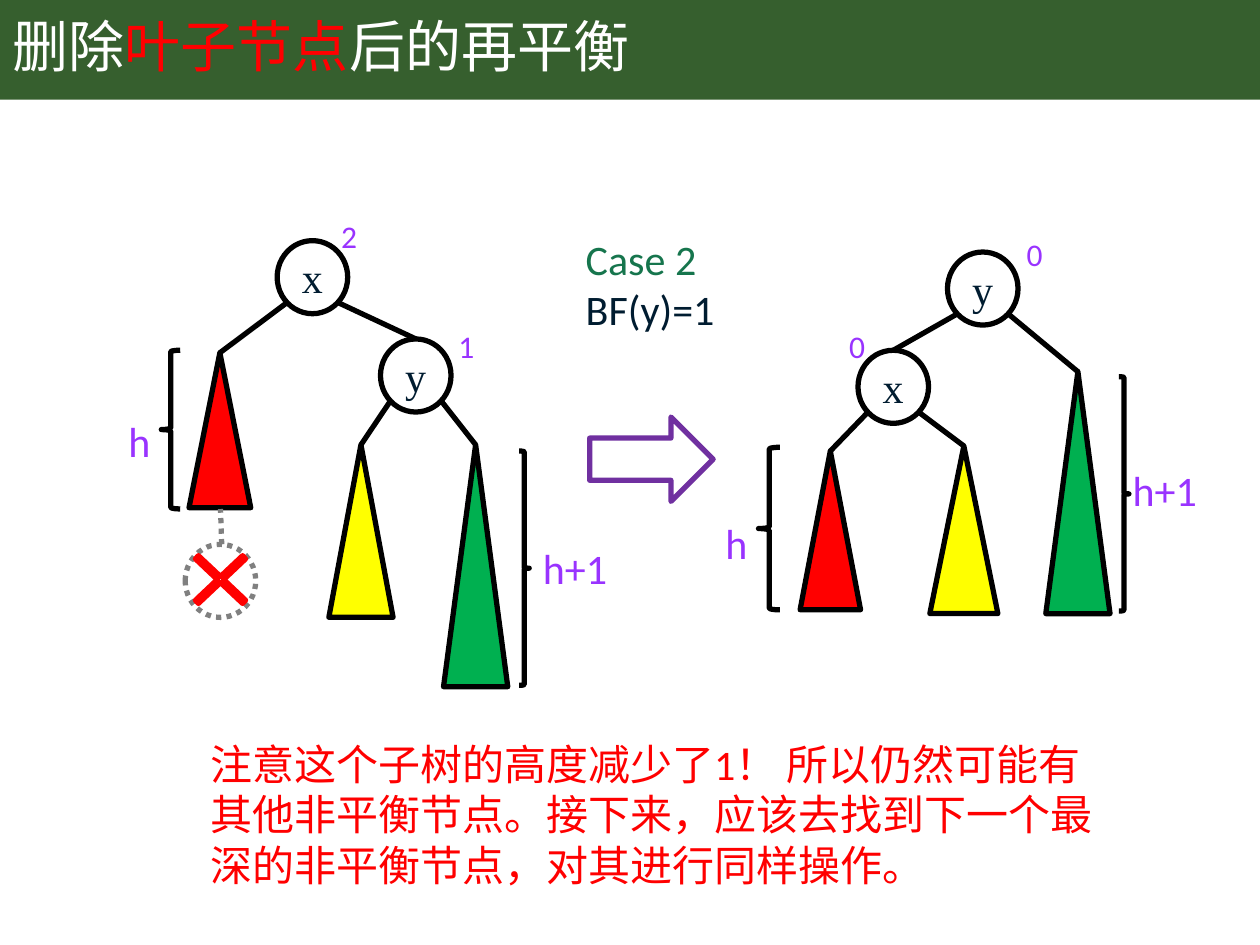
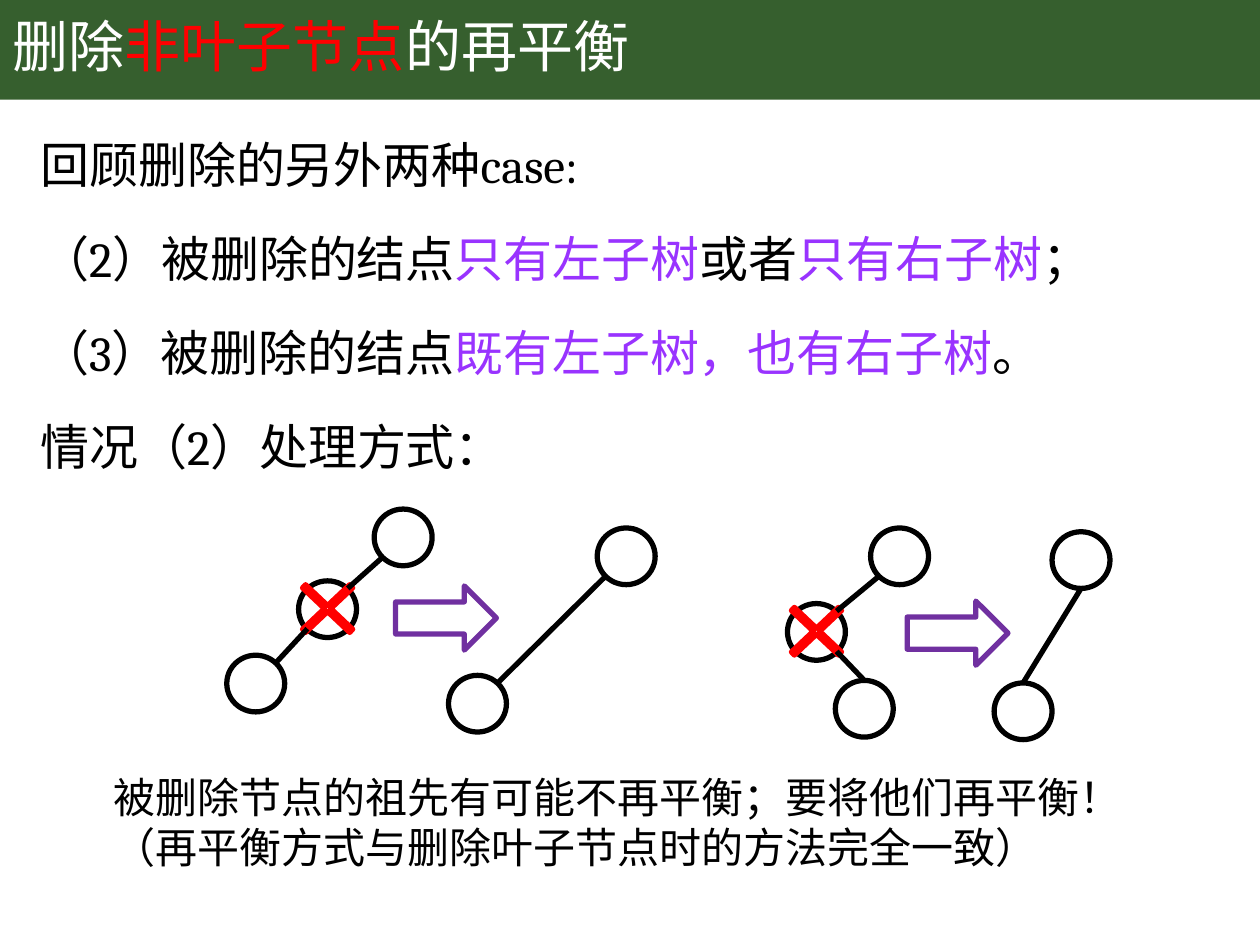
from lxml.etree import SubElement
from pptx import Presentation
from pptx.dml.color import RGBColor
from pptx.enum.dml import MSO_LINE_DASH_STYLE as Dash
from pptx.enum.shapes import MSO_CONNECTOR_TYPE as Connector, MSO_SHAPE as Preset
from pptx.enum.text import MSO_ANCHOR as Anchor, MSO_AUTO_SIZE as AutoSize, PP_ALIGN as Align
from pptx.oxml.ns import qn
from pptx.util import Emu, Pt

BAND, WHITE, BLACK, RED = "365F2E", "FFFFFF", "000000", "FF0000"
VIOLET, ARROW, GRAY, INK, TEAL = "9933FF", "7030A0", "808080", "001C30", "16754D"
YELLOW, GREEN = "FFFF00", "00B050"
NODE_WIDTH, NODE_HEIGHT = 56, 58
NODE_PORTS = {"left": (8, 49), "right": (48, 49), "top": (28, 0)}
CIRCLE_WIDTH, CIRCLE_HEIGHT = 46, 45
CIRCLE_PORTS = {"sw": (7, 38), "ne": (39, 6), "se": (39, 38), "n": (23, 0), "s": (23, 45)}


def px(length):
    """Turn hundredths of an inch into EMU."""
    return Emu(int(length * 9144))


def color(value):
    """Turn a hex string into a colour."""
    return RGBColor.from_string(value)


def style_paragraph(paragraph, size, name, value=None):
    """Set the font that all runs of a paragraph share."""
    paragraph.font.size = Pt(size)
    paragraph.font.name = name
    if value:
        paragraph.font.color.rgb = color(value)


def add_runs(paragraph, runs):
    """Add (text, colour) runs to a paragraph."""
    for text, value in runs:
        run = paragraph.add_run()
        run.text = text
        run.font.color.rgb = color(value)


def place(shape, left, top, width, height):
    """Move and size a shape."""
    shape.left, shape.top, shape.width, shape.height = map(px, (left, top, width, height))


class Region:
    """A drawing area whose parts are placed relative to its corner."""

    def __init__(self, shapes, left=0, top=0):
        """Keep the shape collection and the corner."""
        self.shapes, self.left, self.top = shapes, left, top

    def shape(self, preset, left, top, width, height, line=BLACK, fill=None):
        """Draw an outlined preset shape."""
        shape = self.shapes.add_shape(
            preset, px(self.left + left), px(self.top + top), px(width), px(height))
        shape.shadow.inherit = False
        if fill:
            shape.fill.solid()
            shape.fill.fore_color.rgb = color(fill)
        else:
            shape.fill.background()
        if line:
            shape.line.color.rgb = color(line)
            shape.line.width = Pt(3)
        else:
            shape.line.fill.background()
        return shape

    def line(self, start, end, value=BLACK):
        """Draw a straight line between two points."""
        (x1, y1), (x2, y2) = start, end
        connector = self.shapes.add_connector(
            Connector.STRAIGHT, px(self.left + x1), px(self.top + y1),
            px(self.left + x2), px(self.top + y2))
        connector.line.color.rgb = color(value)
        connector.line.width = Pt(3)
        SubElement(connector.element.spPr, qn("a:effectLst"))
        return connector

    def text(self, lines, left, top, width, height, size=24, wrap=True):
        """Write (text, colour) lines in a text box."""
        box = self.shapes.add_textbox(
            px(self.left + left), px(self.top + top), px(width), px(height))
        frame = box.text_frame
        frame.word_wrap = wrap
        frame.auto_size = AutoSize.SHAPE_TO_FIT_TEXT
        for index, (text, value) in enumerate(lines):
            paragraph = frame.add_paragraph() if index else frame.paragraphs[0]
            paragraph.text = text
            style_paragraph(paragraph, size, "Calibri", value)

    def cross(self, left, top):
        """Draw the red deletion cross."""
        cross = self.shape(Preset.MATH_MULTIPLY, left, top, 72, 68, RED, WHITE)
        cross.adjustments[0] = 0.051

    def node(self, name, left, top):
        """Draw a named tree node."""
        shape = self.shape(Preset.OVAL, left, top, NODE_WIDTH, NODE_HEIGHT)
        frame = shape.text_frame
        frame.margin_left = frame.margin_right = frame.margin_top = frame.margin_bottom = 0
        frame.vertical_anchor = Anchor.MIDDLE
        paragraph = frame.paragraphs[0]
        paragraph.text = name
        paragraph.alignment = Align.CENTER
        style_paragraph(paragraph, 24, "Times New Roman", INK)


def port(corner, offset):
    """Find a connection point of a shape from its corner."""
    return corner[0] + offset[0], corner[1] + offset[1]


def draw_tree(slide, left, top, nodes, link, subtrees, braces):
    """Draw an AVL tree with balance factors, subtrees and height braces."""
    region = Region(slide.shapes.add_group_shape().shapes, left, top)
    for name, (corner, balance, label) in nodes.items():
        region.node(name, *corner)
        region.text([(balance, VIOLET)], *label, 44, 40, 18)
    parent, side, child = link
    region.line(port(nodes[parent][0], NODE_PORTS[side]),
                port(nodes[child][0], NODE_PORTS["top"]))
    for parent, side, fill, (x, y, width, height) in subtrees:
        region.shape(Preset.ISOSCELES_TRIANGLE, x, y, width, height, fill=fill)
        region.line(port(nodes[parent][0], NODE_PORTS[side]), (x + width / 2, y))
    for preset, box, text, label in braces:
        region.shape(preset, *box)
        region.text([(text, VIOLET)], *label, 82 if "+" in text else 44, 50)
    return region


def draw_deleted_leaf(region, left, top):
    """Draw the dotted leaf that was deleted."""
    leaf = region.shape(Preset.OVAL, left, top, NODE_WIDTH, NODE_HEIGHT, GRAY)
    stem = region.line((left + 29, top), (left + 28, top - 28), GRAY)
    for part in (leaf, stem):
        part.line.dash_style = Dash.ROUND_DOT
    region.cross(left - 8, top - 6)


def draw_removal(slide, left, top, circles, edges, arrow):
    """Draw a chain before and after its second node is removed."""
    region = Region(slide.shapes.add_group_shape().shapes, left, top)
    for corner in circles:
        region.shape(Preset.OVAL, *corner, CIRCLE_WIDTH, CIRCLE_HEIGHT)
    x, y = circles[1]
    region.cross(x - 13, y - 12)
    for first, first_port, second, second_port in edges:
        region.line(port(circles[first], CIRCLE_PORTS[first_port]),
                    port(circles[second], CIRCLE_PORTS[second_port]))
    region.shape(Preset.RIGHT_ARROW, *arrow, 80, 51, ARROW)


def add_slide(presentation, layout, before, topic, after):
    """Add a slide whose title stresses its topic."""
    slide = presentation.slides.add_slide(presentation.slide_layouts[layout])
    title = slide.shapes.title
    place(title, 0, 0, 862, 79)
    frame = title.text_frame
    frame.auto_size = AutoSize.NONE
    frame.vertical_anchor = Anchor.MIDDLE
    paragraph = frame.paragraphs[0]
    paragraph.alignment = Align.LEFT
    paragraph.line_spacing = 0.9
    style_paragraph(paragraph, 32, "Calibri")
    add_runs(paragraph, [(before, WHITE), (topic, RED), (after, WHITE)])
    return slide


def add_master_band(presentation, slide):
    """Put the green title band on the slide master."""
    band = Region(slide.shapes).shape(Preset.RECTANGLE, 0, 0, 1000, 79, None, BAND)
    presentation.slide_master.shapes.element.insert(2, band.element)


def fill_body(body, lines):
    """Write the list without bullets in the body placeholder."""
    place(body, 22, 88, 957, 647)
    frame = body.text_frame
    frame.auto_size = AutoSize.NONE
    for index, runs in enumerate(lines):
        paragraph = frame.add_paragraph() if index else frame.paragraphs[0]
        properties = paragraph._p.get_or_add_pPr()
        properties.set("marL", "0")
        properties.set("indent", "0")
        SubElement(properties, qn("a:buNone"))
        paragraph.line_spacing = 1.3
        paragraph.space_before = Pt(10 if index else 0)
        style_paragraph(paragraph, 28, "Cambria")
        add_runs(paragraph, runs)


def build_leaf_slide(presentation):
    """Build the slide on rebalancing after deleting a leaf."""
    slide = add_slide(presentation, 5, "删除", "叶子节点", "后的再平衡")
    add_master_band(presentation, slide)
    region = Region(slide.shapes)
    region.text([("Case 2", TEAL), ("BF(y)=1", INK)], 455, 180, 158, 91)
    draw_tree(
        slide, 566, 182,
        {"x": ((115, 96), "0", (98, 73)), "y": ((186, 18), "0", (239, 0))},
        ("y", "left", "x"),
        [("x", "left", RED, (69, 176, 48, 126)),
         ("x", "right", YELLOW, (172, 172, 54, 133)),
         ("y", "right", GREEN, (264, 113, 51, 192))],
        [(Preset.RIGHT_BRACE, (322, 117, 8, 186), "h+1", (323, 182)),
         (Preset.LEFT_BRACE, (36, 173, 17, 129), "h", (0, 224))])
    region.shape(Preset.RIGHT_ARROW, 468, 331, 98, 67, ARROW)
    region.text([("注意这个子树的高度减少了1！ 所以仍然可能有其他非平衡节点。接下来，"
                  "应该去找到下一个最深的非平衡节点，对其进行同样操作。", RED)],
                157, 581, 722, 131)
    tree = draw_tree(
        slide, 92, 167,
        {"x": ((128, 24), "2", (169, 0)), "y": ((210, 102), "1", (262, 88))},
        ("x", "right", "y"),
        [("x", "left", RED, (58, 113, 49, 123)),
         ("y", "left", YELLOW, (169, 186, 51, 137)),
         ("y", "right", GREEN, (260, 186, 51, 192))],
        [(Preset.RIGHT_BRACE, (320, 191, 8, 186), "h+1", (329, 259)),
         (Preset.LEFT_BRACE, (36, 111, 15, 126), "h", (0, 158))])
    draw_deleted_leaf(tree, 55, 265)


def build_inner_slide(presentation):
    """Build the slide on rebalancing after deleting an inner node."""
    slide = add_slide(presentation, 1, "删除", "非叶子节点", "的再平衡")
    fill_body(slide.placeholders[1], [
        [("回顾删除的另外两种case:", BLACK)],
        [("（2）被删除的结点", BLACK), ("只有左子树", VIOLET), ("或者", BLACK),
         ("只有右子树", VIOLET), ("；", BLACK)],
        [("（3）被删除的结点", BLACK), ("既有左子树，也有右子树", VIOLET), ("。", BLACK)],
        [("情况（2）处理方式：", BLACK)]])
    draw_removal(
        slide, 180, 404, [(117, 0), (57, 57), (0, 116), (294, 15), (176, 132)],
        [(0, "sw", 1, "ne"), (1, "sw", 2, "ne"), (3, "sw", 4, "ne")], (134, 61))
    draw_removal(
        slide, 612, 419, [(79, 0), (13, 60), (51, 121), (223, 3), (177, 123)],
        [(0, "sw", 1, "ne"), (1, "se", 2, "n"), (3, "s", 4, "n")], (108, 58))
    Region(slide.shapes).text(
        [("被删除节点的祖先有可能不再平衡；要将他们再平衡！", BLACK),
         ("（再平衡方式与删除叶子节点时的方法完全一致）", BLACK)],
        80, 607, 828, 91, wrap=False)


def main():
    """Build and save the presentation."""
    presentation = Presentation()
    presentation.slide_width, presentation.slide_height = px(1000), px(750)
    build_leaf_slide(presentation)
    build_inner_slide(presentation)
    presentation.save("out.pptx")


if __name__ == "__main__":
    main()
